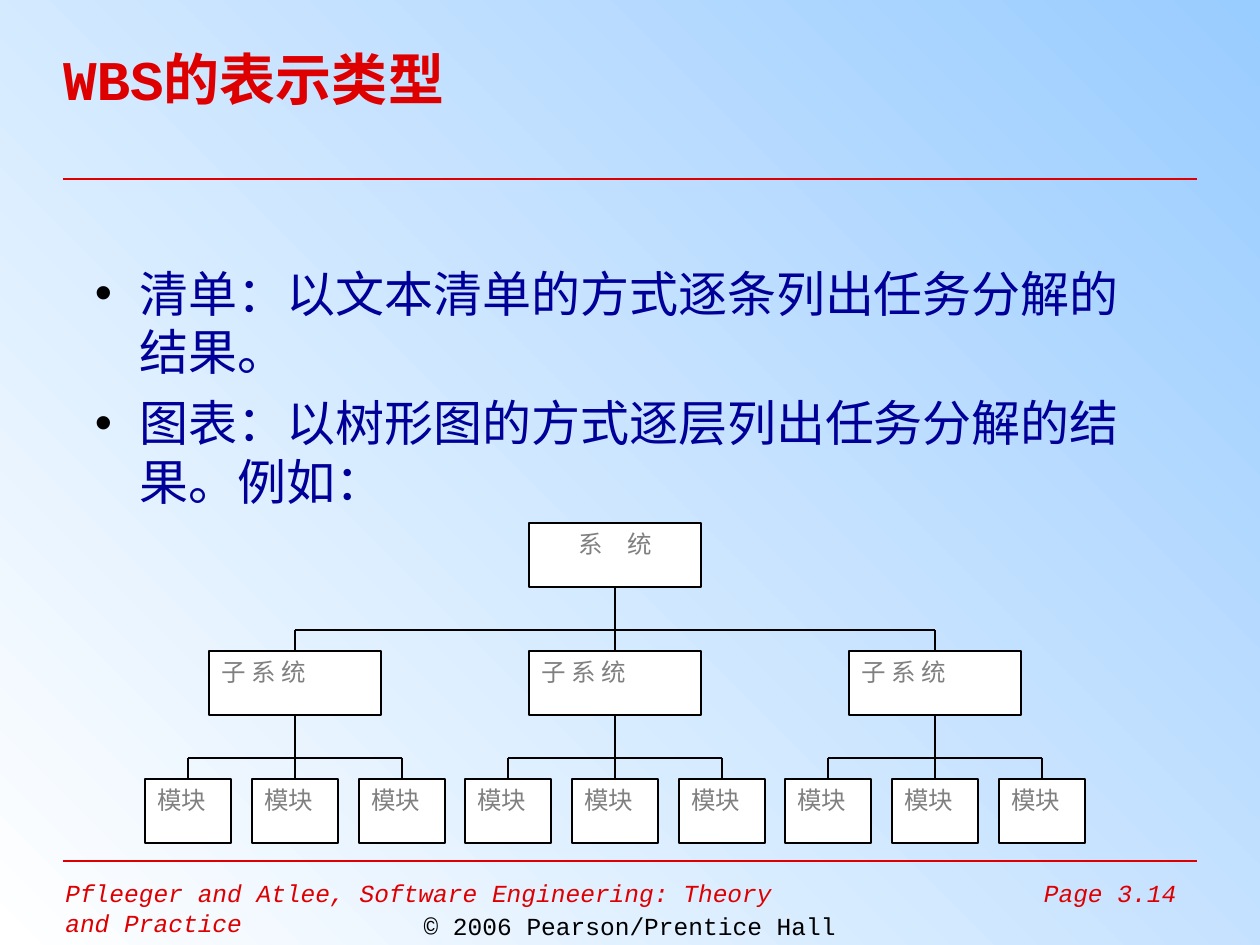
from lxml import etree
from pptx import Presentation
from pptx.dml.color import RGBColor
from pptx.enum.shapes import MSO_CONNECTOR, MSO_SHAPE
from pptx.enum.text import MSO_ANCHOR, MSO_AUTO_SIZE, PP_ALIGN
from pptx.oxml.ns import qn
from pptx.util import Pt

RED = RGBColor(0xDE, 0x00, 0x00)
NAVY = RGBColor(0x00, 0x00, 0x99)
BLACK = RGBColor(0x00, 0x00, 0x00)
GRAY = RGBColor(0x80, 0x80, 0x80)
WHITE = RGBColor(0xFF, 0xFF, 0xFF)
SKY = RGBColor(0x99, 0xCC, 0xFF)

LEFT, CENTER, RIGHT, JUSTIFY = (
    PP_ALIGN.LEFT, PP_ALIGN.CENTER, PP_ALIGN.RIGHT, PP_ALIGN.JUSTIFY)
TOP, MIDDLE = MSO_ANCHOR.TOP, MSO_ANCHOR.MIDDLE
RECT, STRAIGHT = MSO_SHAPE.RECTANGLE, MSO_CONNECTOR.STRAIGHT
MONO, SERIF = "Courier New", "Times New Roman"
SCALE = 914400 / 126  # EMU in one px


def px(*sizes):
    return [round(size * SCALE) for size in sizes]


def add_bullet(para, color, indent):
    props = para._p.get_or_add_pPr()
    width = px(indent)[0]
    props.set("marL", str(width))
    props.set("indent", str(-width))
    tint = etree.SubElement(props, qn("a:buClr"))
    etree.SubElement(tint, qn("a:srgbClr")).set("val", str(color))
    etree.SubElement(props, qn("a:buChar")).set("char", "•")


def set_text(shape, *lines, size=14, font=MONO, color=BLACK, bold=False,
             italic=False, align=LEFT, anchor=TOP, inset=None, gap=0,
             bullet=None):
    frame = shape.text_frame
    frame.word_wrap = True
    frame.auto_size = MSO_AUTO_SIZE.NONE
    frame.vertical_anchor = anchor
    if inset is not None:
        side = px(inset)[0]
        frame.margin_left = frame.margin_right = side
        frame.margin_top = frame.margin_bottom = side
    for i, line in enumerate(lines):
        para = frame.add_paragraph() if i else frame.paragraphs[0]
        if bullet is not None:
            add_bullet(para, bullet, 45)
        para.alignment = align
        para.space_before = Pt(gap if i else 0)
        run = para.add_run()
        run.text = line
        run.font.name, run.font.size = font, Pt(size)
        run.font.bold, run.font.italic = bold, italic
        run.font.color.rgb = color


class Page:
    def __init__(self, deck):
        self.slide = deck.slides.add_slide(deck.slide_layouts[1])
        self.shapes = self.slide.shapes

    def fill(self, start, end):
        fill = self.slide.background.fill
        fill.gradient()
        fill.gradient_angle = 225
        for stop, color, place in zip(fill.gradient_stops, (start, end), (0, 1)):
            stop.color.rgb = color
            stop.position = place

    def holder(self, index, area, *lines, **style):
        shape = self.slide.placeholders[index]
        shape.left, shape.top, shape.width, shape.height = px(*area)
        set_text(shape, *lines, inset=0, **style)

    def text(self, area, line, **style):
        set_text(self.shapes.add_textbox(*px(*area)), line, **style)

    def box(self, mid, top, width, line, align=JUSTIFY):
        shape = self.shapes.add_shape(
            RECT, *px(mid - width // 2, top, width, BOX_H))
        shape.shadow.inherit = False
        shape.fill.solid()
        shape.fill.fore_color.rgb = WHITE
        shape.line.color.rgb = BLACK
        shape.line.width = Pt(0.75)
        set_text(shape, line, font=SERIF, color=GRAY, align=align)
        return shape

    def line(self, x1, y1, x2, y2, color=BLACK, width=0.75, start=None, end=None):
        line = self.shapes.add_connector(STRAIGHT, *px(x1, y1, x2, y2))
        line.line.color.rgb = color
        line.line.width = Pt(width)
        etree.SubElement(line._element.spPr, qn("a:effectLst"))
        if start is not None:
            line.begin_connect(start, 2)
        if end is not None:
            line.end_connect(end, 0)

    def branch(self, root, kids, mids, top, rail):
        """Join a box to the three boxes below it."""
        self.line(mids[0], rail, mids[2], rail)
        for i, (kid, mid) in enumerate(zip(kids, mids)):
            if i == 1:
                self.line(mid, top, mid, top + BOX_H, start=root, end=kid)
            else:
                self.line(mid, rail, mid, top, end=kid)


BOX_H = 64
WIDE, SMALL = 172, 86
ROOT_Y, SUB_Y, MOD_Y = 523, 651, 779


def main():
    deck = Presentation()
    deck.slide_width, deck.slide_height = px(1260, 945)
    page = Page(deck)
    page.fill(SKY, WHITE)

    # Rules and footer
    page.line(63, 179, 1197, 179, color=RED, width=1.5)
    page.line(63, 861, 1197, 861, color=RED)
    page.text((53, 872, 756, 73),
              "Pfleeger and Atlee, Software Engineering: Theory and Practice",
              color=RED, italic=True)
    page.text((987, 872, 202, 42), "Page 3.14",
              color=RED, italic=True, align=RIGHT)
    page.text((0, 905, 1260, 40), "© 2006 Pearson/Prentice Hall", align=CENTER)

    # Title and list
    page.holder(0, (63, 0, 1133, 156), "WBS的表示类型",
                size=32, color=RED, bold=True, anchor=MIDDLE)
    page.holder(1, (95, 263, 1071, 596),
                "清单：以文本清单的方式逐条列出任务分解的结果。",
                "图表：以树形图的方式逐层列出任务分解的结果。例如：",
                size=28, color=NAVY, gap=7, bullet=BLACK)

    # Tree boxes: each subsystem stands over the middle of its three modules
    mids = [round(188 + 106.75 * i) for i in range(9)]
    heads = mids[1::3]
    root = page.box(heads[1], ROOT_Y, WIDE, "系　统", align=CENTER)
    subs = [page.box(mid, SUB_Y, WIDE, "子 系 统") for mid in heads]
    mods = [page.box(mid, MOD_Y, SMALL, "模块") for mid in mids]

    # Tree lines
    page.branch(root, subs, heads, SUB_Y, 630)
    for i, sub in enumerate(subs):
        trio = slice(3 * i, 3 * i + 3)
        page.branch(sub, mods[trio], mids[trio], MOD_Y, 758)

    deck.save("out.pptx")


if __name__ == "__main__":
    main()
